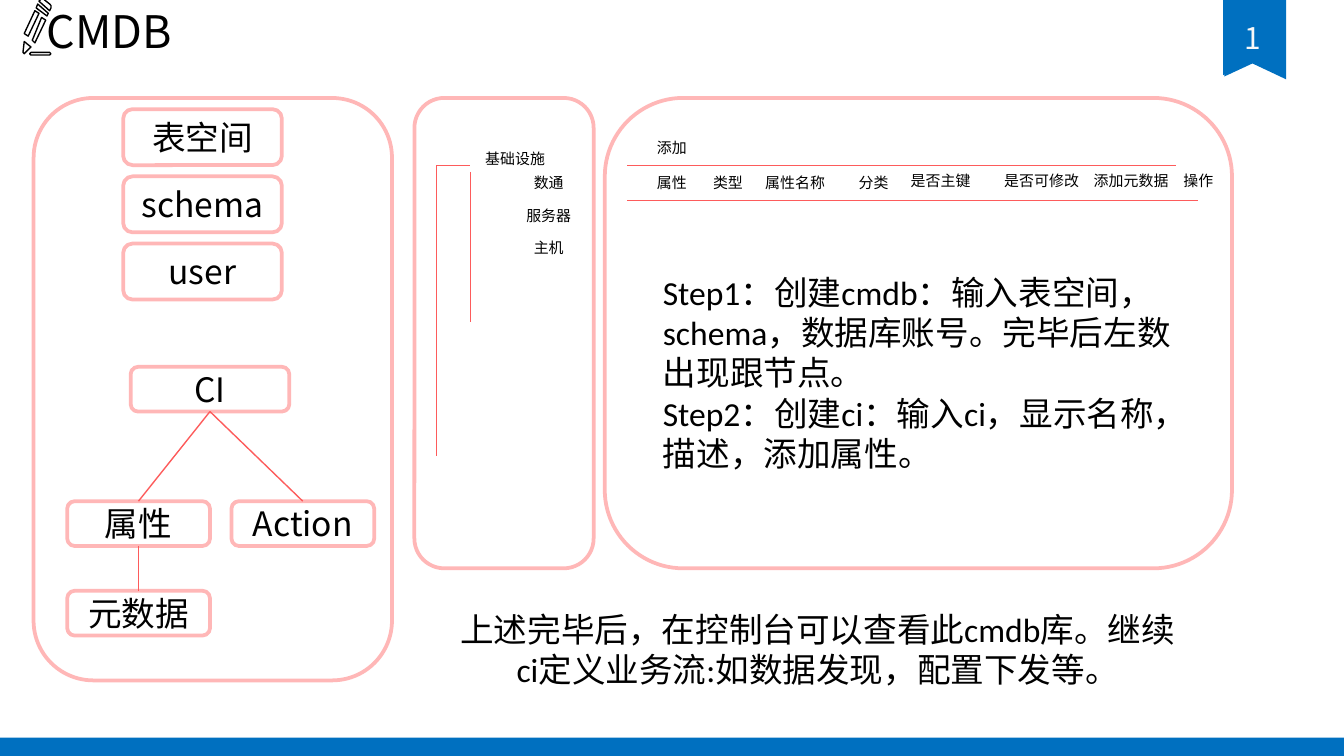
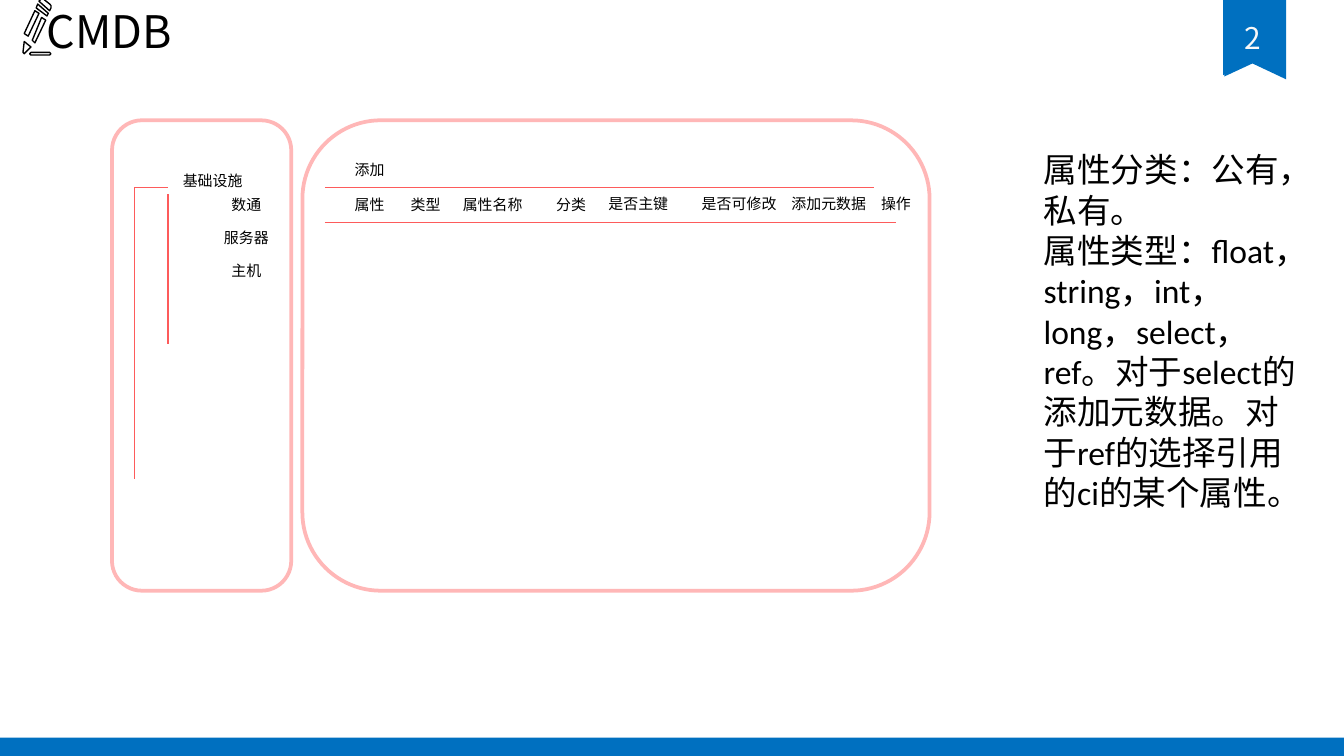
from lxml.etree import SubElement
from pptx import Presentation
from pptx.dml.color import RGBColor
from pptx.enum.shapes import MSO_CONNECTOR as Link, MSO_SHAPE as Preset
from pptx.enum.text import MSO_ANCHOR as Anchor, MSO_AUTO_SIZE as Fit, PP_ALIGN as Align
from pptx.oxml.ns import qn
from pptx.util import Pt

BLUE, PINK, RED = "0070C0", "FFB7B7", "FD5B5B"
WHITE, BLACK, PALE = "FFFFFF", "000000", "F8F8F8"
HAN = "Noto Sans CJK SC"
BODY, LABEL = "Calibri", "Arial"

RIBBONS = [
    [(689, 42.5), (671, 34), (655.9, 41), (655.9, 0), (689, 0)],
    [(687.6, 40.3), (671, 33.1), (655.2, 40.3), (655.2, 0), (687.6, 0)],
]
PENCIL = [
    [(16.6, 28.1), (26.6, 28.1), (27.3, 28.8), (26.6, 29.5), (16.6, 29.5), (15.9, 28.8)],
    [(17.3, 21.6), (22.3, 9.4), (24.5, 10.8), (18.7, 23)],
    [(13, 18), (18.7, 5.8), (20.9, 7.2), (15.1, 19.4)],
    [(12.3, 28.1), (13, 22.3), (16.6, 25.2), (13, 28.8)],
    [(20.2, 2.2), (19.4, 4.3), (25.2, 8.6), (25.9, 7.2)],
    [(21.6, 0), (22.1, -1.1), (23, -0.7), (26.6, 2.2), (27.3, 3), (27.3, 4.3),
     (26.6, 5.8), (20.9, 0.7)],
]


def colour(code):
    return RGBColor.from_string(code)


class Sketch:
    def __init__(self, deck):
        self.deck = deck
        self.page = None

    def paint(self, shape, fill, line=None, weight=0.75):
        shape.shadow.inherit = False
        shape.fill.solid()
        shape.fill.fore_color.rgb = colour(fill)
        if line:
            shape.line.color.rgb = colour(line)
            shape.line.width = Pt(weight)
        else:
            shape.line.fill.background()

    def set_text(self, frame, text, size, font, align, ink):
        frame.text = text
        for para in frame.paragraphs:
            para.alignment = align
            for span in para.runs:
                span.font.size = Pt(size)
                span.font.name = font
                span.font.color.rgb = colour(ink)
                east = SubElement(span.font._element, qn("a:ea"))
                east.set("typeface", HAN)

    def box(self, left, top, width, height, text="", preset=Preset.ROUNDED_RECTANGLE,
            fill=WHITE, line=PINK):
        shape = self.page.shapes.add_shape(
            preset, Pt(left), Pt(top), Pt(width), Pt(height))
        self.paint(shape, fill, line, 2)
        if text:
            shape.text_frame.vertical_anchor = Anchor.MIDDLE
            self.set_text(shape.text_frame, text, 18, HAN, Align.CENTER, BLACK)

    def text(self, left, top, width, height, text, size=18, font=BODY,
             align=Align.CENTER, ink=BLACK, wrap=True):
        shape = self.page.shapes.add_textbox(
            Pt(left), Pt(top), Pt(width), Pt(height))
        frame = shape.text_frame
        frame.word_wrap = wrap
        frame.auto_size = Fit.SHAPE_TO_FIT_TEXT
        self.set_text(frame, text, size, font, align, ink)

    def label(self, left, top, text, width=48, font=BODY):
        self.text(left, top, width, 17, text, 8, font)

    def line(self, x1, y1, x2, y2):
        link = self.page.shapes.add_connector(
            Link.STRAIGHT, Pt(x1), Pt(y1), Pt(x2), Pt(y2))
        link.line.color.rgb = colour(RED)
        link.line.width = Pt(0.75)
        SubElement(link._element.spPr, qn("a:effectLst"))

    def outline(self, contours, fill, line=None):
        builder = None
        for contour in contours:
            points = [(Pt(x), Pt(y)) for x, y in contour]
            if builder is None:
                builder = self.page.shapes.build_freeform(*points[0])
            else:
                builder.move_to(*points[0])
            builder.add_line_segments(points[1:], close=True)
        self.paint(builder.convert_to_shape(), fill, line)

    def start(self, title):
        self.page = self.deck.slides.add_slide(self.deck.slide_layouts[6])
        for ribbon in RIBBONS:
            self.outline([ribbon], BLUE)
        self.text(652.3, 7.2, 38.2, 26.6, str(len(self.deck.slides)), 16, HAN, ink=PALE)
        self.box(0, 395.2, 720, 9.8, preset=Preset.RECTANGLE, fill=BLUE, line=None)
        self.text(18, -1.4, 88, 36, title, 24, HAN, Align.LEFT, wrap=False)
        self.outline(PENCIL, WHITE, BLACK)

    def console(self, left, top):
        self.box(left, top, 96, 252)
        self.line(left + 12, top + 36, left + 12, top + 192)
        self.line(left + 12, top + 36, left + 30, top + 36)
        self.line(left + 30, top + 39.6, left + 30, top + 120)
        self.label(left + 30, top + 24, "基础设施", font=LABEL)
        for row, name in enumerate(["数通", "服务器", "主机"]):
            self.label(left + 48, top + 36.8 + 17.6 * row, name, font=LABEL)

        self.box(left + 102, top, 336, 252)
        self.line(left + 114, top + 36, left + 408, top + 36)
        self.line(left + 114, top + 54.8, left + 420, top + 54.8)
        self.label(left + 114, top + 18, "添加")
        for shift, name in [(114, "属性"), (144, "类型"), (180, "属性名称"), (222, "分类")]:
            self.label(left + shift, top + 36.8, name)
        for shift, name, width in [(258, "是否主键", 48), (306, "是否可修改", 60),
                                   (354, "添加元数据", 60), (390, "操作", 60)]:
            self.label(left + shift, top + 36, name, width)


deck = Presentation()
deck.slide_width, deck.slide_height = Pt(720), Pt(405)
sketch = Sketch(deck)

sketch.start("CMDB")
sketch.box(18, 52.5, 192, 312)
for row, name in enumerate(["表空间", "schema", "user"]):
    sketch.box(66, 58.5 + 36 * row, 85, 30, name)
sketch.box(70, 196.5, 85, 24, "CI")
for left, top, name in [(36, 268.5, "属性"), (124, 268.5, "Action"), (36, 316.5, "元数据")]:
    sketch.box(left, top, 76.5, 24, name)
for child in (74.2, 162.2):
    sketch.line(child, 268.5, 112.5, 220.5)
sketch.line(74.2, 292.5, 74.2, 316.5)
sketch.console(222, 52.5)
sketch.text(348, 142, 300, 138,
            "Step1：创建cmdb：输入表空间，schema，数据库账号。完毕后左数出现跟节点。\n"
            "Step2：创建ci：输入ci，显示名称，描述，添加属性。", align=Align.LEFT)
sketch.text(234, 322.5, 408, 51,
            "上述完毕后，在控制台可以查看此cmdb库。继续ci定义业务流:如数据发现，配置下发等。")

sketch.start("CMDB")
sketch.console(60, 64.5)
sketch.text(552, 76.5, 156, 225,
            "属性分类：公有，私有。\n"
            "属性类型：float，string，int，long，select，ref。"
            "对于select的添加元数据。对于ref的选择引用的ci的某个属性。", align=Align.LEFT)

deck.save("out.pptx")
